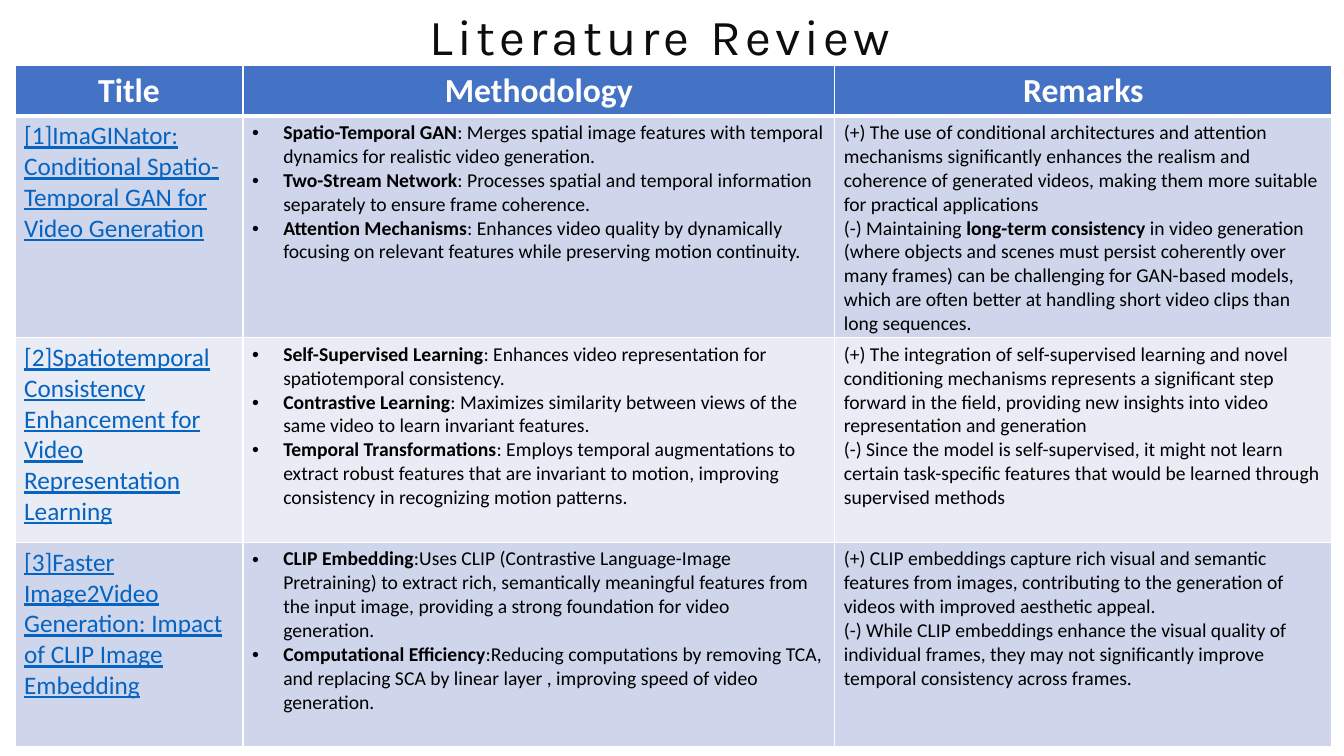
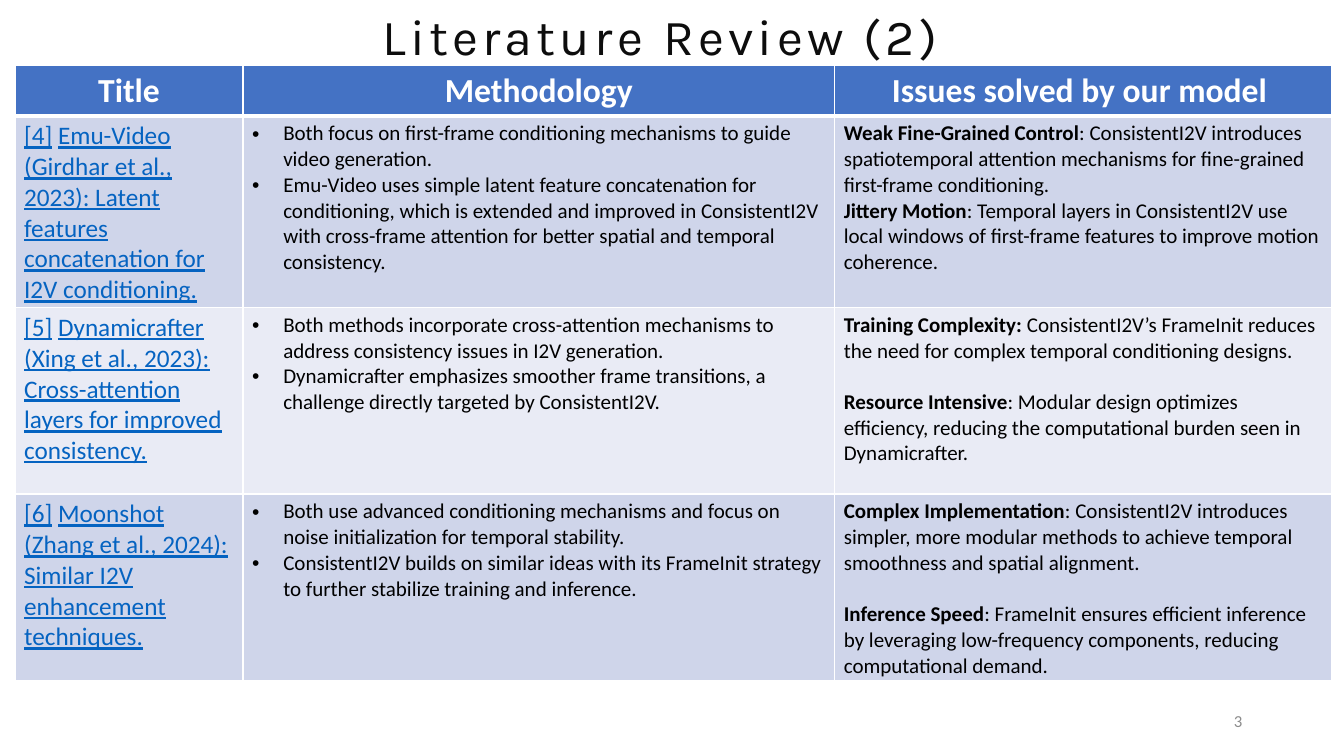
from dataclasses import dataclass

from lxml import etree
from pptx import Presentation
from pptx.dml.color import RGBColor
from pptx.enum import text as te
from pptx.oxml.ns import qn
from pptx.util import Inches, Pt

WHITE = RGBColor(0xFF, 0xFF, 0xFF)
BLACK = RGBColor(0x00, 0x00, 0x00)
TITLE_INK = RGBColor(0x0D, 0x0D, 0x0D)
FOOTER_GRAY = RGBColor(0x8C, 0x8C, 0x8C)
HEADER_BLUE = RGBColor(0x44, 0x72, 0xC4)
LINK_BLUE = RGBColor(0x05, 0x63, 0xC1)
BANDS = (RGBColor(0xCF, 0xD5, 0xEA), RGBColor(0xE9, 0xEB, 0xF5))

BODY_FONT = "Calibri"
TITLE_FONT = "Karla"
TITLE_CENTER = 6.55
TABLE_LEFT, TABLE_TOP = 0.15, 0.65
COLUMN_WIDTHS = (2.26, 5.87, 4.93)
HEADER_HEIGHT = 0.5
BULLET_INDENT = 0.31
CENTER = te.PP_ALIGN.CENTER


@dataclass
class Paper:
    """One table row; ** marks bold text, gap is the space between remarks in points."""
    title: list
    methods: list
    remarks: list
    height: float
    gap: float = 0


REVIEW = [
    Paper(
        ["[1]ImaGINator: Conditional Spatio-Temporal GAN for Video Generation"],
        ["**Spatio-Temporal GAN**: Merges spatial image features with temporal dynamics "
         "for realistic video generation.",
         "**Two-Stream Network**: Processes spatial and temporal information separately "
         "to ensure frame coherence.",
         "**Attention Mechanisms**: Enhances video quality by dynamically focusing on "
         "relevant features while preserving motion continuity."],
        ["(+) The use of conditional architectures and attention mechanisms significantly "
         "enhances the realism and coherence of generated videos, making them more suitable "
         "for practical applications",
         "(-) Maintaining **long-term consistency** in video generation (where objects and "
         "scenes must persist coherently over many frames) can be challenging for GAN-based "
         "models, which are often better at handling short video clips than long sequences."],
        2.2),
    Paper(
        ["[2]Spatiotemporal Consistency Enhancement for Video Representation Learning"],
        ["**Self-Supervised Learning**: Enhances video representation for spatiotemporal "
         "consistency.",
         "**Contrastive Learning**: Maximizes similarity between views of the same video "
         "to learn invariant features.",
         "**Temporal Transformations**: Employs temporal augmentations to extract robust "
         "features that are invariant to motion, improving consistency in recognizing "
         "motion patterns."],
        ["(+) The integration of self-supervised learning and novel conditioning mechanisms "
         "represents a significant step forward in the field, providing new insights into "
         "video representation and generation",
         "(-) Since the model is self-supervised, it might not learn certain task-specific "
         "features that would be learned through supervised methods"],
        2.03),
    Paper(
        ["[3]Faster Image2Video Generation: Impact of CLIP Image Embedding"],
        ["**CLIP Embedding**:Uses CLIP (Contrastive Language-Image Pretraining) to extract "
         "rich, semantically meaningful features from the input image, providing a strong "
         "foundation for video generation.",
         "**Computational Efficiency**:Reducing computations by removing TCA, and replacing "
         "SCA by linear layer , improving speed of video generation."],
        ["(+) CLIP embeddings capture rich visual and semantic features from images, "
         "contributing to the generation of videos with improved aesthetic appeal.",
         "(-) While CLIP embeddings enhance the visual quality of individual frames, they "
         "may not significantly improve temporal consistency across frames."],
        2.03),
]

REVIEW_2 = [
    Paper(
        ["[4]", " ", "Emu-Video (Girdhar et al., 2023): Latent features concatenation "
                     "for I2V conditioning."],
        ["Both focus on first-frame conditioning mechanisms to guide video generation.",
         "Emu-Video uses simple latent feature concatenation for conditioning, which is "
         "extended and improved in ConsistentI2V with cross-frame attention for better "
         "spatial and temporal consistency."],
        ["**Weak Fine-Grained Control**: ConsistentI2V introduces spatiotemporal attention "
         "mechanisms for fine-grained first-frame conditioning.",
         "**Jittery Motion**: Temporal layers in ConsistentI2V use local windows of "
         "first-frame features to improve motion coherence."],
        1.9),
    Paper(
        ["[5]", " ", "Dynamicrafter (Xing et al., 2023): Cross-attention layers for "
                     "improved consistency."],
        ["Both methods incorporate cross-attention mechanisms to address consistency issues "
         "in I2V generation.",
         "Dynamicrafter emphasizes smoother frame transitions, a challenge directly targeted "
         "by ConsistentI2V."],
        ["**Training Complexity: **ConsistentI2V’s FrameInit reduces the need for complex "
         "temporal conditioning designs.",
         "**Resource Intensive**: Modular design optimizes efficiency, reducing the "
         "computational burden seen in Dynamicrafter."],
        1.85, gap=18.3),
    Paper(
        ["[6]", " ", "Moonshot (Zhang et al., 2024): Similar I2V enhancement techniques."],
        ["Both use advanced conditioning mechanisms and focus on noise initialization for "
         "temporal stability.",
         "ConsistentI2V builds on similar ideas with its FrameInit strategy to further "
         "stabilize training and inference."],
        ["**Complex Implementation**: ConsistentI2V introduces simpler, more modular methods "
         "to achieve temporal smoothness and spatial alignment.",
         "**Inference Speed**: FrameInit ensures efficient inference by leveraging "
         "low-frequency components, reducing computational demand."],
        1.85, gap=18.3),
]


def add_run(p, text, size, color, bold=False, underline=False, font=BODY_FONT):
    r = p.add_run()
    r.text = text
    r.font.name = font
    r.font.size = Pt(size)
    r.font.color.rgb = color
    r.font.bold = bold
    r.font.underline = underline
    return r


def add_text_box(slide, left, top, width, height, align):
    """Add an empty text box and return its frame and first paragraph."""
    tf = slide.shapes.add_textbox(
        Inches(left), Inches(top), Inches(width), Inches(height)).text_frame
    p = tf.paragraphs[0]
    p.alignment = align
    return tf, p


def add_title(slide, text, width):
    tf, p = add_text_box(slide, TITLE_CENTER - width / 2, 0, width, 0.71, CENTER)
    tf.word_wrap = False
    tf.auto_size = te.MSO_AUTO_SIZE.SHAPE_TO_FIT_TEXT
    r = add_run(p, text, 36, TITLE_INK, font=TITLE_FONT)
    r.font._element.set("spc", "300")


def add_page_number(slide, number):
    tf, p = add_text_box(slide, 9.42, 6.95, 3, 0.4, te.PP_ALIGN.RIGHT)
    tf.word_wrap = True
    tf.vertical_anchor = te.MSO_ANCHOR.MIDDLE
    add_run(p, str(number), 12, FOOTER_GRAY)


def style_cell(cell, fill, top=1, bottom=1):
    """Set margins, white borders (widths in points) and fill."""
    cell.margin_left = cell.margin_right = Inches(0.09)
    cell.margin_top, cell.margin_bottom = Inches(0.05), Inches(0.02)
    tc_pr = cell._tc.get_or_add_tcPr()
    for side, width in (("L", 1), ("R", 1), ("T", top), ("B", bottom)):
        ln = etree.SubElement(tc_pr, qn(f"a:ln{side}"), w=str(Pt(width)))
        solid = etree.SubElement(ln, qn("a:solidFill"))
        etree.SubElement(solid, qn("a:srgbClr"), val=str(WHITE))
    cell.fill.solid()
    cell.fill.fore_color.rgb = fill


def add_bullet(p):
    p_pr = p._p.get_or_add_pPr()
    indent = Inches(BULLET_INDENT)
    p_pr.set("marL", str(indent))
    p_pr.set("indent", str(-indent))
    etree.SubElement(p_pr, qn("a:buFont"), typeface="Arial")
    etree.SubElement(p_pr, qn("a:buChar"), char="•")


def write_paragraphs(cell, lines, size, bulleted=False, gap=0):
    tf = cell.text_frame
    for i, line in enumerate(lines):
        p = tf.add_paragraph() if i else tf.paragraphs[0]
        if i and gap:
            p.space_before = Pt(gap)
        if bulleted:
            add_bullet(p)
        for j, part in enumerate(line.split("**")):
            if part:
                add_run(p, part, size, BLACK, bold=j % 2 == 1)


def write_paper_title(cell, parts):
    p = cell.text_frame.paragraphs[0]
    for part in parts:
        linked = bool(part.strip())
        add_run(p, part, 18, LINK_BLUE if linked else BLACK, underline=linked)


def add_review_table(slide, headings, papers, size):
    heights = [HEADER_HEIGHT] + [paper.height for paper in papers]
    table = slide.shapes.add_table(
        len(heights), len(headings), Inches(TABLE_LEFT), Inches(TABLE_TOP),
        Inches(sum(COLUMN_WIDTHS)), Inches(sum(heights))).table
    for column, width in zip(table.columns, COLUMN_WIDTHS):
        column.width = Inches(width)
    for row, height in zip(table.rows, heights):
        row.height = Inches(height)

    for cell, heading in zip(table.rows[0].cells, headings):
        style_cell(cell, HEADER_BLUE, bottom=3)
        p = cell.text_frame.paragraphs[0]
        p.alignment = CENTER
        add_run(p, heading, 24, WHITE, bold=True)

    for i, paper in enumerate(papers):
        cells = list(table.rows[i + 1].cells)
        for cell in cells:
            style_cell(cell, BANDS[i % 2], top=1 if i else 3)
        write_paper_title(cells[0], paper.title)
        write_paragraphs(cells[1], paper.methods, size, bulleted=True)
        write_paragraphs(cells[2], paper.remarks, size, gap=paper.gap)


def add_review_slide(prs, title, title_width, last_heading, papers, size):
    slide = prs.slides.add_slide(prs.slide_layouts[6])
    add_title(slide, title, title_width)
    add_review_table(slide, ("Title", "Methodology", last_heading), papers, size)
    return slide


def main():
    prs = Presentation()
    prs.slide_width, prs.slide_height = Inches(13.33), Inches(7.5)
    add_review_slide(prs, "Literature Review", 4.94, "Remarks", REVIEW, 14)
    slide = add_review_slide(prs, "Literature Review (2)", 5.9,
                             "Issues solved by our model ", REVIEW_2, 15)
    add_page_number(slide, 3)
    prs.save("out.pptx")


if __name__ == "__main__":
    main()
